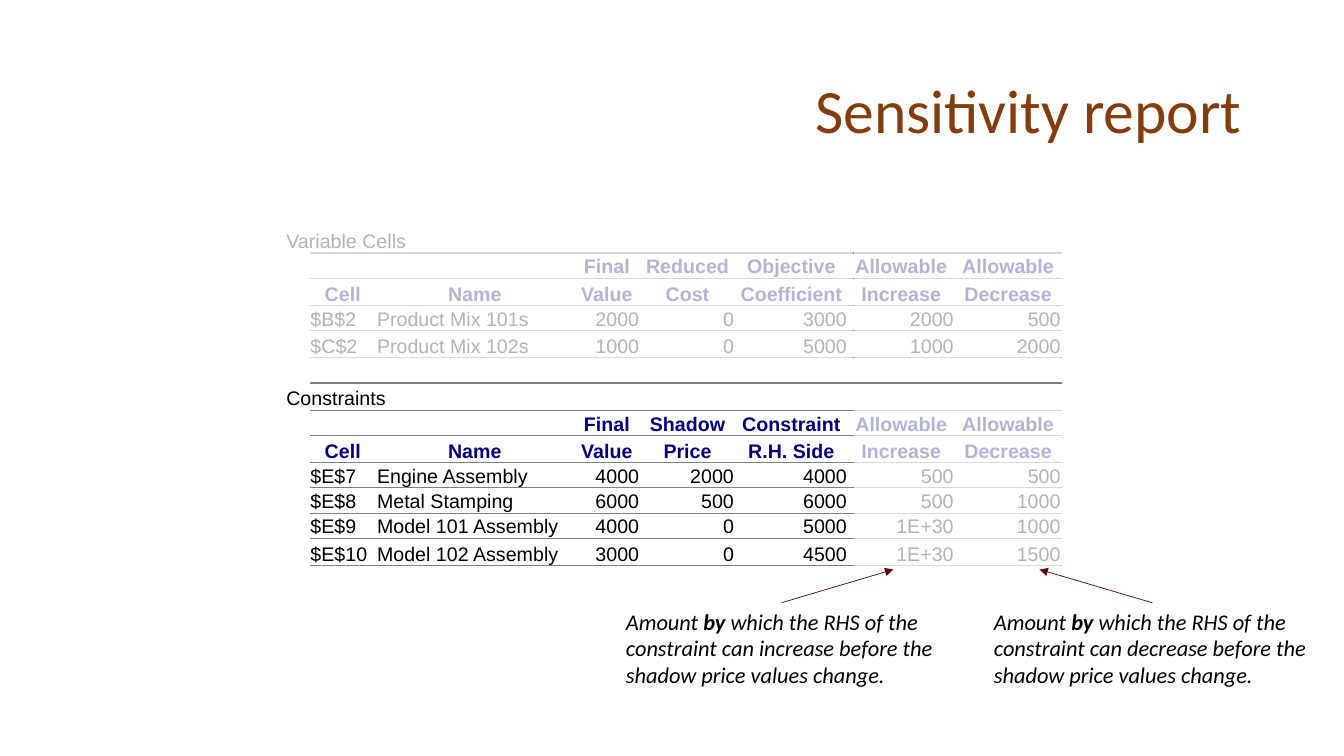
"""Build the sensitivity report slide."""
from dataclasses import dataclass

from lxml import etree
from pptx import Presentation
from pptx import util as u
from pptx.dml.color import RGBColor
from pptx.enum import shapes, text
from pptx.oxml import ns

BROWN = RGBColor(0x84, 0x3C, 0x0B)
BLACK = RGBColor(0x00, 0x00, 0x00)
NAVY = RGBColor(0x00, 0x00, 0x80)
GRAY = RGBColor(0x80, 0x80, 0x80)
WHITE = RGBColor(0xFF, 0xFF, 0xFF)
MAROON = RGBColor(0x5C, 0x00, 0x00)

PLAIN_TABLE_STYLE = "{2D5ABB26-0587-4C30-8999-92F81FD0307C}"
COLUMN_WIDTHS = (0.24, 0.66, 1.96, 0.66, 0.94, 1.12, 1.06, 1.06)
ROW_HEIGHTS = (0.25, 0.27) * 5 + (0.25, 0.25, 0.25, 0.27)
SECTION_ROWS = (1, 7)
HEADER_ROWS = (2, 3, 8, 9)
RULES = {2: 1, 4: 0.5, 5: 0.5, 6: 1, 8: 1, 10: 0.5, 11: 0.5, 12: 0.5, 13: 0.5, 14: 1}
REPORT = (
    (),
    ("Variable Cells",),
    ("", "", "", "Final", "Reduced", "Objective", "Allowable", "Allowable"),
    ("", "Cell", "Name", "Value", "Cost", "Coefficient", "Increase", "Decrease"),
    ("", "$B$2", "Product Mix 101s", "2000", "0", "3000", "2000", "500"),
    ("", "$C$2", "Product Mix 102s", "1000", "0", "5000", "1000", "2000"),
    (),
    ("Constraints",),
    ("", "", "", "Final", "Shadow", "Constraint", "Allowable", "Allowable"),
    ("", "Cell", "Name", "Value", "Price", "R.H. Side", "Increase", "Decrease"),
    ("", "$E$7", "Engine Assembly", "4000", "2000", "4000", "500", "500"),
    ("", "$E$8", "Metal Stamping", "6000", "500", "6000", "500", "1000"),
    ("", "$E$9", "Model 101 Assembly", "4000", "0", "5000", "1E+30", "1000"),
    ("", "$E$10", "Model 102 Assembly", "3000", "0", "4500", "1E+30", "1500"),
)


@dataclass(frozen=True)
class Veil:
    left: float
    top: float
    width: float
    height: float


@dataclass(frozen=True)
class Note:
    left: float
    width: float
    verb: str


@dataclass(frozen=True)
class Arrow:
    start_x: float
    end_x: float


VEILS = (Veil(8.47, 2.36, 2.25, 1.39), Veil(2.7, 1.99, 5.76, 1.76), Veil(8.47, 3.97, 2.25, 1.76))
NOTES = (Note(9.76, 3.34, "decrease"), Note(6.11, 3.28, "increase"))
ARROWS = (Arrow(7.75, 8.86), Arrow(11.43, 10.31))
NOTE_TOP = 5.98
ARROW_TIP = 5.65


def add_title(page) -> None:
    title = page.shapes.title
    title.left, title.top = u.Inches(0.92), u.Inches(0.4)
    title.width, title.height = u.Inches(11.5), u.Inches(1.45)
    title.text_frame.text = "Sensitivity report"
    title.text_frame.vertical_anchor = text.MSO_ANCHOR.MIDDLE
    para = title.text_frame.paragraphs[0]
    para.alignment = text.PP_ALIGN.RIGHT
    para.line_spacing = 0.9
    para.font.name, para.font.size = "Calibri", u.Pt(44)
    para.font.color.rgb = BROWN


def add_border(cell, side: str, points: float) -> None:
    properties = cell._tc.get_or_add_tcPr()
    line = etree.SubElement(properties, ns.qn(f"a:{side}"), w=str(u.Pt(points)))
    fill = etree.SubElement(line, ns.qn("a:solidFill"))
    etree.SubElement(fill, ns.qn("a:srgbClr"), val=str(GRAY))


def fill_cell(cell, row: int, column: int, words: str) -> None:
    cell.margin_left = cell.margin_right = cell.margin_top = u.Inches(0.01)
    cell.margin_bottom = 0
    cell.vertical_anchor = text.MSO_ANCHOR.BOTTOM
    para = cell.text_frame.paragraphs[0]
    para.font.name, para.font.size = "Arial", u.Pt(14)
    if words:
        header = row in HEADER_ROWS
        para.add_run().text = words
        para.font.bold = header
        para.font.color.rgb = NAVY if header else BLACK
        if header:
            para.alignment = text.PP_ALIGN.CENTER
        elif column > 2:
            para.alignment = text.PP_ALIGN.RIGHT
    else:
        etree.SubElement(para._p, ns.qn("a:endParaRPr"), sz="1400")
    merged = row in SECTION_ROWS and column < 3
    if column and not merged:
        for side, boundary in (("lnT", row), ("lnB", row + 1)):
            if boundary in RULES:
                add_border(cell, side, RULES[boundary])
    cell.fill.background()


def add_report(page) -> None:
    frame = page.shapes.add_table(
        len(ROW_HEIGHTS), len(COLUMN_WIDTHS), u.Inches(2.83), u.Inches(1.99),
        u.Inches(sum(COLUMN_WIDTHS)), u.Inches(sum(ROW_HEIGHTS)))
    table = frame.table
    table.first_row = table.horz_banding = False
    for style in frame._element.iter(ns.qn("a:tableStyleId")):
        style.text = PLAIN_TABLE_STYLE
    for column, width in zip(table.columns, COLUMN_WIDTHS):
        column.width = u.Inches(width)
    for row, height in enumerate(ROW_HEIGHTS):
        table.rows[row].height = u.Inches(height)
        for column in range(len(COLUMN_WIDTHS)):
            words = REPORT[row][column] if column < len(REPORT[row]) else ""
            fill_cell(table.cell(row, column), row, column, words)
    for row in SECTION_ROWS:
        table.cell(row, 0).merge(table.cell(row, 2))


def add_veil(page, veil: Veil) -> None:
    box = page.shapes.add_shape(
        shapes.MSO_SHAPE.RECTANGLE, u.Inches(veil.left), u.Inches(veil.top),
        u.Inches(veil.width), u.Inches(veil.height))
    box.shadow.inherit = False
    box.line.fill.background()
    box.fill.solid()
    box.fill.fore_color.rgb = WHITE
    color = box._element.spPr.find(".//" + ns.qn("a:srgbClr"))
    etree.SubElement(color, ns.qn("a:alpha"), val="70000")


def add_note(page, note: Note) -> None:
    box = page.shapes.add_textbox(
        u.Inches(note.left), u.Inches(NOTE_TOP), u.Inches(note.width), u.Inches(0.91))
    box.text_frame.word_wrap = False
    box.text_frame.auto_size = text.MSO_AUTO_SIZE.SHAPE_TO_FIT_TEXT
    para = box.text_frame.paragraphs[0]
    para.font.name, para.font.size = "Calibri", u.Pt(16)
    para.font.italic = True
    para.font.color.rgb = BLACK
    para.add_run().text = "Amount "
    span = para.add_run()
    span.text = "by"
    span.font.bold = True
    para.add_run().text = " which the RHS of the"
    for line in (f"constraint can {note.verb} before the", "shadow price values change."):
        para.add_line_break()
        para.add_run().text = line


def add_arrow(page, arrow: Arrow) -> None:
    line = page.shapes.add_connector(
        shapes.MSO_CONNECTOR.STRAIGHT, u.Inches(arrow.start_x), u.Inches(NOTE_TOP),
        u.Inches(arrow.end_x), u.Inches(ARROW_TIP))
    line.line.color.rgb = MAROON
    line.line.width = u.Pt(0.5)
    properties = line._element.spPr
    etree.SubElement(properties.find(ns.qn("a:ln")), ns.qn("a:tailEnd"), type="triangle")
    etree.SubElement(properties, ns.qn("a:effectLst"))


def main() -> None:
    deck = Presentation()
    deck.slide_width, deck.slide_height = u.Inches(13.33), u.Inches(7.5)
    page = deck.slides.add_slide(deck.slide_layouts[5])
    add_title(page)
    add_report(page)
    for veil in VEILS:
        add_veil(page, veil)
    for note in NOTES:
        add_note(page, note)
    for arrow in ARROWS:
        add_arrow(page, arrow)
    deck.save("out.pptx")


if __name__ == "__main__":
    main()
